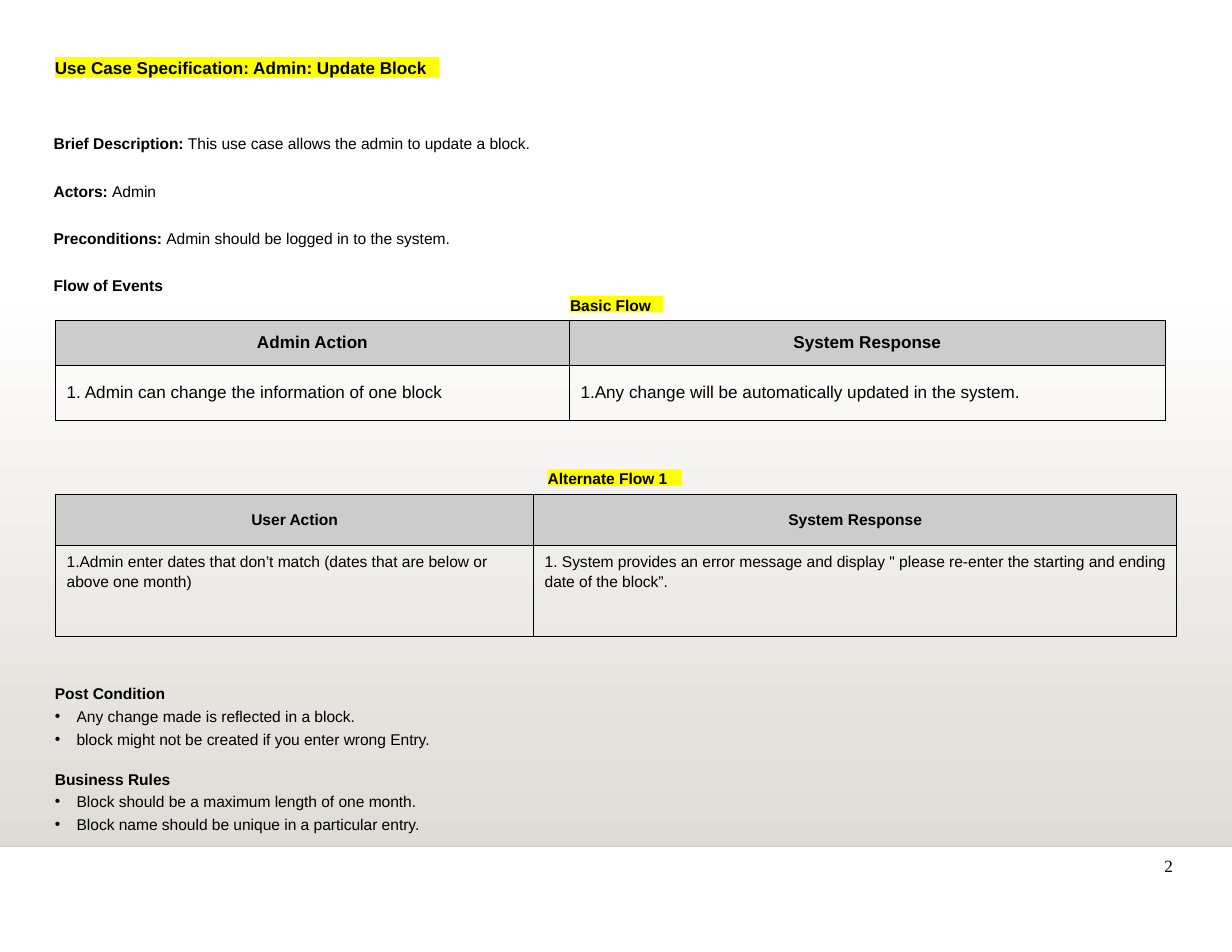
from pptx import Presentation
from pptx.dml.color import RGBColor
from pptx.enum.shapes import MSO_CONNECTOR, MSO_SHAPE
from pptx.enum.text import MSO_ANCHOR, PP_ALIGN
from pptx.oxml.ns import qn
from pptx.util import Pt
from lxml.etree import SubElement

COLORS = {
    "text": "000000",
    "highlight": "FFFF00",
    "header": "CCCCCC",
    "rule": "CCCCCC",
    "fade_top": "FFFFFF",
    "fade_bottom": "DFDBD5",
}


def rgb(name):
    return RGBColor.from_string(COLORS[name])


class UseCaseSlide:
    font = "Arial"
    size = 10
    border = 0.45

    def __init__(self, slide):
        self.slide = slide

    def add_run(self, paragraph, text, bold=False, size=None, font=None):
        run = paragraph.add_run()
        run.text = text
        run.font.name = font or self.font
        run.font.size = Pt(size or self.size)
        run.font.bold = bold
        run.font.color.rgb = rgb("text")

    def prepare_frame(self, shape):
        frame = shape.text_frame
        frame.margin_left = frame.margin_right = 0
        frame.margin_top = frame.margin_bottom = 0
        frame.word_wrap = True
        frame.vertical_anchor = MSO_ANCHOR.TOP
        return frame

    def rectangle(self, left, top, width, height):
        shape = self.slide.shapes.add_shape(
            MSO_SHAPE.RECTANGLE, Pt(left), Pt(top), Pt(width), Pt(height))
        shape.shadow.inherit = False
        shape.line.fill.background()
        return shape

    def fade(self, left, top, width, height):
        fill = self.rectangle(left, top, width, height).fill
        fill.gradient()
        fill.gradient_angle = 270
        for stop, name in zip(fill.gradient_stops, ("fade_top", "fade_bottom")):
            stop.color.rgb = rgb(name)

    def rule(self, left, right, y):
        line = self.slide.shapes.add_connector(
            MSO_CONNECTOR.STRAIGHT, Pt(left), Pt(y), Pt(right), Pt(y))
        line.line.color.rgb = rgb("rule")
        line.line.width = Pt(1)
        SubElement(line._element.spPr, qn("a:effectLst"))

    def heading(self, text, left, top, width, height, size=None):
        shape = self.rectangle(left, top, width, height)
        shape.fill.solid()
        shape.fill.fore_color.rgb = rgb("highlight")
        paragraph = self.prepare_frame(shape).paragraphs[0]
        paragraph.alignment = PP_ALIGN.LEFT
        self.add_run(paragraph, text, bold=True, size=size)

    def text_box(self, left, top, width, height):
        box = self.slide.shapes.add_textbox(
            Pt(left), Pt(top), Pt(width), Pt(height))
        return self.prepare_frame(box)

    def paragraphs(self, frame, count):
        return [frame.paragraphs[0]] + [frame.add_paragraph() for _ in range(count - 1)]

    def fields(self, items, left, top, width, height, spacing):
        frame = self.text_box(left, top, width, height)
        for paragraph, (label, value) in zip(self.paragraphs(frame, len(items)), items):
            paragraph.line_spacing = Pt(spacing)
            self.add_run(paragraph, label, bold=True)
            if value:
                self.add_run(paragraph, value)

    def sections(self, items, left, top, width, height):
        frame = self.text_box(left, top, width, height)
        lines = []
        for title, points in items:
            lines.append((title, True, 2.6))
            lines += [(point, False, 2.6) for point in points[:-1]]
            lines.append((points[-1], False, 13.4))
        for paragraph, (text, is_title, after) in zip(
                self.paragraphs(frame, len(lines)), lines):
            paragraph.space_after = Pt(after)
            self.add_run(paragraph, text, bold=is_title)
            if not is_title:
                self.add_bullet(paragraph)

    def add_bullet(self, paragraph, indent=14):
        properties = paragraph._p.get_or_add_pPr()
        properties.set("marL", str(Pt(indent)))
        properties.set("indent", str(-Pt(indent)))
        SubElement(properties, qn("a:buFont"), typeface=self.font)
        SubElement(properties, qn("a:buChar"), char="•")

    def add_borders(self, cell):
        properties = cell._tc.get_or_add_tcPr()
        for position, side in enumerate(("lnL", "lnR", "lnT", "lnB")):
            line = properties.makeelement(qn(f"a:{side}"), {"w": str(Pt(self.border))})
            fill = SubElement(line, qn("a:solidFill"))
            SubElement(fill, qn("a:srgbClr"), val=COLORS["text"])
            properties.insert(position, line)

    def table(self, rows, left, top, widths, heights,
              size=None, body_anchor=MSO_ANCHOR.MIDDLE, body_spacing=None):
        table = self.slide.shapes.add_table(
            len(rows), len(widths), Pt(left), Pt(top),
            Pt(sum(widths)), Pt(sum(heights))).table
        for column, width in zip(table.columns, widths):
            column.width = Pt(width)
        for row, height in zip(table.rows, heights):
            row.height = Pt(height)
        for row_index, texts in enumerate(rows):
            is_header = row_index == 0
            for column_index, text in enumerate(texts):
                cell = table.cell(row_index, column_index)
                paragraph = cell.text_frame.paragraphs[0]
                self.add_run(paragraph, text, bold=is_header, size=size)
                if is_header:
                    cell.fill.solid()
                    cell.fill.fore_color.rgb = rgb("header")
                    cell.vertical_anchor = MSO_ANCHOR.MIDDLE
                    paragraph.alignment = PP_ALIGN.CENTER
                else:
                    cell.fill.background()
                    cell.vertical_anchor = body_anchor
                    if body_spacing:
                        paragraph.line_spacing = Pt(body_spacing)
                self.add_borders(cell)

    def page_number(self, text, left, top, width, height):
        frame = self.text_box(left, top, width, height)
        self.add_run(frame.paragraphs[0], text, size=11, font="Times New Roman")


def main():
    presentation = Presentation()
    presentation.slide_width, presentation.slide_height = Pt(792), Pt(612)
    page = UseCaseSlide(presentation.slides.add_slide(presentation.slide_layouts[6]))

    # Background fade and footer rule
    page.fade(0, 180, 792, 364.3)
    page.rule(0, 792, 544.3)

    # Title and description
    page.heading("Use Case Specification: Admin: Update Block", 35.3, 36.7, 247, 13, size=11)
    page.fields([
        ("Brief Description: ", "This use case allows the admin to update a block."),
        ("Actors: ", "Admin"),
        ("Preconditions: ", "Admin should be logged in to the system."),
        ("Flow of Events", ""),
    ], 34.5, 67.7, 340, 103, spacing=30.5)

    # Basic flow
    page.heading("Basic Flow", 366.5, 190, 59.8, 10.8)
    page.table([
        ("Admin Action", "System Response"),
        ("1. Admin can change the information of one block",
         "1.Any change will be automatically updated in the system."),
    ], 35.7, 206, (330.3, 383.2), (28.8, 35.6), size=11)

    # Alternate flow
    page.heading("Alternate Flow 1", 352.1, 301.7, 86.4, 10.8)
    page.table([
        ("User Action", "System Response"),
        ("1.Admin enter dates that don’t match (dates that are below or above one month)",
         "1. System provides an error message and display \" please re-enter "
         "the starting and ending date of the block”."),
    ], 35.7, 317.7, (307.3, 413.5), (33, 58.2),
        body_anchor=MSO_ANCHOR.TOP, body_spacing=12.7)

    # Post condition and business rules
    page.sections([
        ("Post Condition", ["Any change made is reflected in a block.",
                            "block might not be created if you enter wrong Entry."]),
        ("Business Rules", ["Block should be a maximum length of one month.",
                            "Block name should be unique in a particular entry."]),
    ], 35.3, 440, 288, 102)

    # Page number
    page.page_number("2", 748.5, 550, 8, 11)

    presentation.save("out.pptx")


if __name__ == "__main__":
    main()
